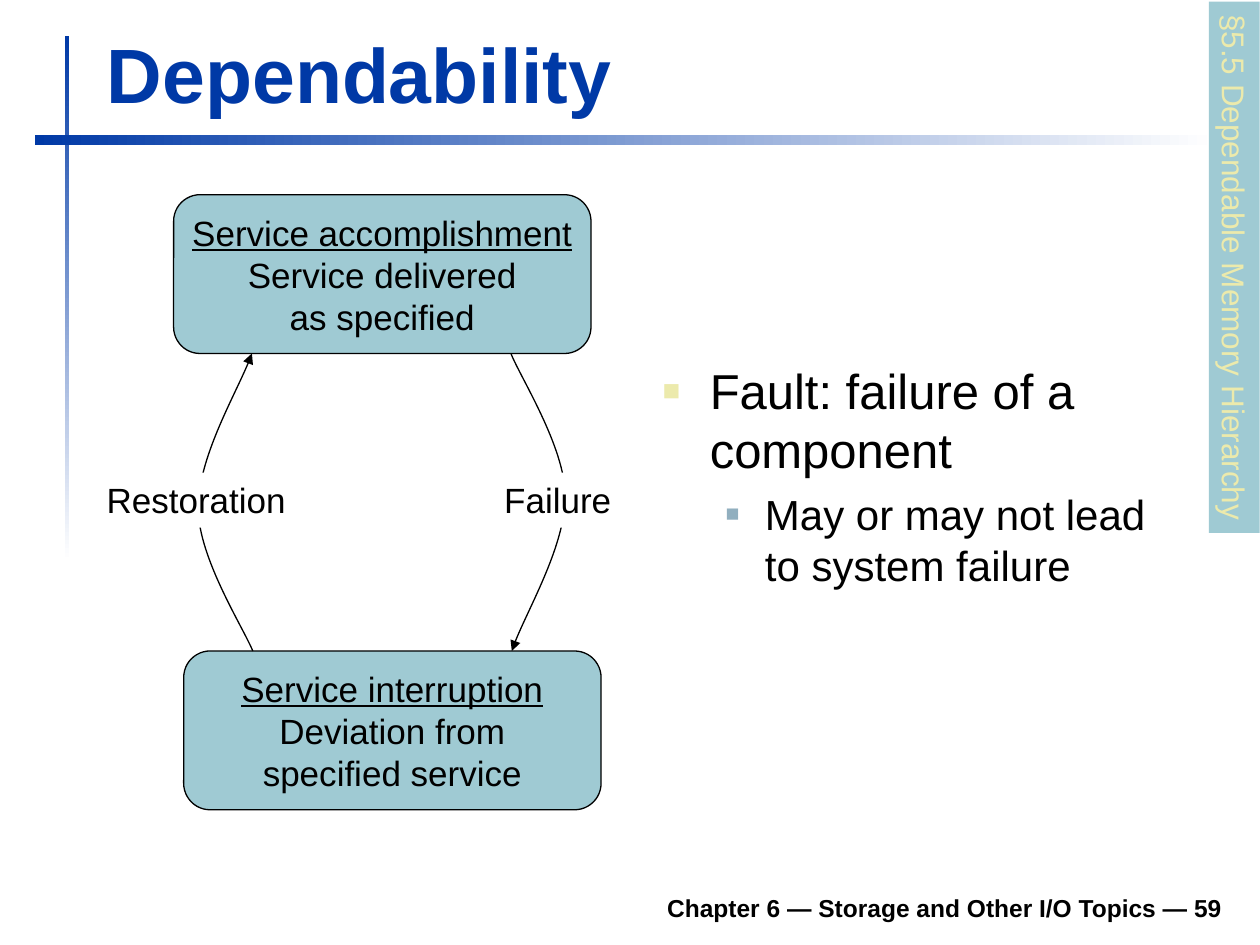
from lxml import etree
from pptx import Presentation
from pptx.dml.color import RGBColor
from pptx.enum.shapes import MSO_SHAPE
from pptx.enum.text import MSO_ANCHOR, PP_ALIGN
from pptx.oxml.ns import qn
from pptx.util import Pt

RECT, ROUNDED = MSO_SHAPE.RECTANGLE, MSO_SHAPE.ROUNDED_RECTANGLE
LEFT, CENTER, RIGHT = PP_ALIGN.LEFT, PP_ALIGN.CENTER, PP_ALIGN.RIGHT
TOP, MIDDLE, BOTTOM = MSO_ANCHOR.TOP, MSO_ANCHOR.MIDDLE, MSO_ANCHOR.BOTTOM

BLACK = RGBColor(0x00, 0x00, 0x00)
WHITE = RGBColor(0xFF, 0xFF, 0xFF)
BLUE = RGBColor(0x00, 0x39, 0xA6)
TEAL = RGBColor(0x9F, 0xCA, 0xD3)
YELLOW = RGBColor(0xEC, 0xEA, 0xAC)
STEEL = RGBColor(0x91, 0xAF, 0xBF)


class SlideBuilder:
    font = "Arial"
    line_width = Pt(0.75)

    def __init__(self, slide):
        self.slide = slide

    def run(self, p, text, size, color=BLACK, bold=False, underline=False):
        r = p.add_run()
        r.text = text
        r.font.name, r.font.size = self.font, Pt(size)
        r.font.bold, r.font.underline = bold, underline
        r.font.color.rgb = color

    def shape(self, kind, x, y, w, h):
        sp = self.slide.shapes.add_shape(kind, Pt(x), Pt(y), Pt(w), Pt(h))
        sp.shadow.inherit = False
        sp.line.fill.background()
        return sp

    def gradient_bar(self, x, y, w, h, angle):
        sp = self.shape(RECT, x, y, w, h)
        sp.fill.gradient()
        sp.fill.gradient_angle = angle
        for stop, color in zip(sp.fill.gradient_stops, (BLUE, WHITE)):
            stop.color.rgb = color

    def text(self, x, y, w, h, text, size, color=BLACK, bold=False,
             align=LEFT, anchor=TOP):
        sp = self.slide.shapes.add_textbox(Pt(x), Pt(y), Pt(w), Pt(h))
        tf = sp.text_frame
        tf.word_wrap, tf.vertical_anchor = True, anchor
        p = tf.paragraphs[0]
        p.alignment = align
        self.run(p, text, size, color, bold)

    def label(self, x, y, w, h, text, size, fill, color=BLACK, align=LEFT,
              rotation=0):
        sp = self.shape(RECT, x, y, w, h)
        sp.fill.solid()
        sp.fill.fore_color.rgb = fill
        sp.rotation = rotation
        tf = sp.text_frame
        tf.word_wrap, tf.vertical_anchor = False, TOP
        p = tf.paragraphs[0]
        p.alignment = align
        self.run(p, text, size, color)

    def state(self, x, y, heading, lines):
        sp = self.shape(ROUNDED, x, y, 238.5, 90.75)
        sp.fill.solid()
        sp.fill.fore_color.rgb = TEAL
        sp.line.color.rgb, sp.line.width = BLACK, self.line_width
        tf = sp.text_frame
        tf.word_wrap, tf.vertical_anchor = False, MIDDLE
        p = tf.paragraphs[0]
        p.alignment = CENTER
        self.run(p, heading, 20, underline=True)
        p = tf.add_paragraph()
        p.alignment = CENTER
        for i, line in enumerate(lines):
            if i:
                p.add_line_break()
            self.run(p, line, 20)

    def curved_arrow(self, points):
        """First point is the start; each following three form a Bezier."""
        start, *rest = [(Pt(x), Pt(y)) for x, y in points]
        builder = self.slide.shapes.build_freeform(*start)
        builder.add_line_segments(rest, close=False)
        sp = builder.convert_to_shape()
        sp.shadow.inherit = False
        sp.fill.background()
        sp.line.color.rgb, sp.line.width = BLACK, self.line_width
        # Turn each three straight segments into one cubic curve
        segments = list(sp._element.iter(qn("a:lnTo")))
        outline = segments[0].getparent()
        for i in range(0, len(segments), 3):
            curve = etree.SubElement(outline, qn("a:cubicBezTo"))
            for segment in segments[i:i + 3]:
                curve.append(segment[0])
                outline.remove(segment)
        ln = sp.line._get_or_add_ln()
        etree.SubElement(ln, qn("a:tailEnd"), type="triangle")

    def bullets(self, x, y, w, h, items):
        sp = self.slide.shapes.add_textbox(Pt(x), Pt(y), Pt(w), Pt(h))
        tf = sp.text_frame
        tf.word_wrap = True
        for i, (text, level, size, margin, hang, color, scale) in enumerate(items):
            p = tf.add_paragraph() if i else tf.paragraphs[0]
            p.level = level
            if i:
                p.space_before = Pt(6)
            pPr = p._p.get_or_add_pPr()
            pPr.set("marL", str(Pt(margin)))
            pPr.set("indent", str(-Pt(hang)))
            bu_color = etree.SubElement(pPr, qn("a:buClr"))
            etree.SubElement(bu_color, qn("a:srgbClr"), val=str(color))
            etree.SubElement(pPr, qn("a:buSzPct"), val=str(scale * 1000))
            etree.SubElement(pPr, qn("a:buFont"), typeface=self.font)
            etree.SubElement(pPr, qn("a:buChar"), char="■")
            self.run(p, text, size)


def main():
    prs = Presentation()
    prs.slide_width, prs.slide_height = Pt(720), Pt(540)
    s = SlideBuilder(prs.slides.add_slide(prs.slide_layouts[6]))

    # Frame, footer and title
    s.gradient_bar(37, 20.5, 2.5, 300, 270)
    s.gradient_bar(19.75, 77, 675, 5.75, 0)
    s.text(133, 502.5, 572.5, 28, "Chapter 6 — Storage and Other I/O Topics — 59",
           14, bold=True, align=RIGHT, anchor=BOTTOM)
    s.text(54, 11.5, 650, 60, "Dependability", 44, BLUE, bold=True, anchor=BOTTOM)

    # Explanation
    s.bullets(371.5, 202.5, 312, 289.5, [
        ("Fault: failure of a component", 0, 28, 27, 27, YELLOW, 60),
        ("May or may not lead to system failure", 1, 24, 58.5, 22.5, STEEL, 55),
    ])

    # States
    s.state(99.25, 111.25, "Service accomplishment",
            ["Service delivered", "as specified"])
    s.state(105, 372, "Service interruption",
            ["Deviation from", "specified service"])

    # Transitions
    s.curved_arrow([(292, 202), (297, 215), (323, 255.5), (323, 283.5),
                    (323, 311.5), (298.5, 353.5), (292.5, 372)])
    s.label(281, 270, 75.5, 31.5, "Failure", 20, WHITE)
    s.curved_arrow([(144.5, 372), (139, 358.5), (113.5, 319), (113.25, 290.5),
                    (113.25, 262), (137.5, 220.5), (144, 202)])
    s.label(54, 270, 116.5, 31.5, "Restoration", 20, WHITE, align=RIGHT)

    # Section tab
    s.label(553.5, 138.25, 303.5, 29, "§5.5 Dependable Memory Hierarchy", 18,
            TEAL, YELLOW, rotation=90)

    prs.save("out.pptx")


if __name__ == "__main__":
    main()
